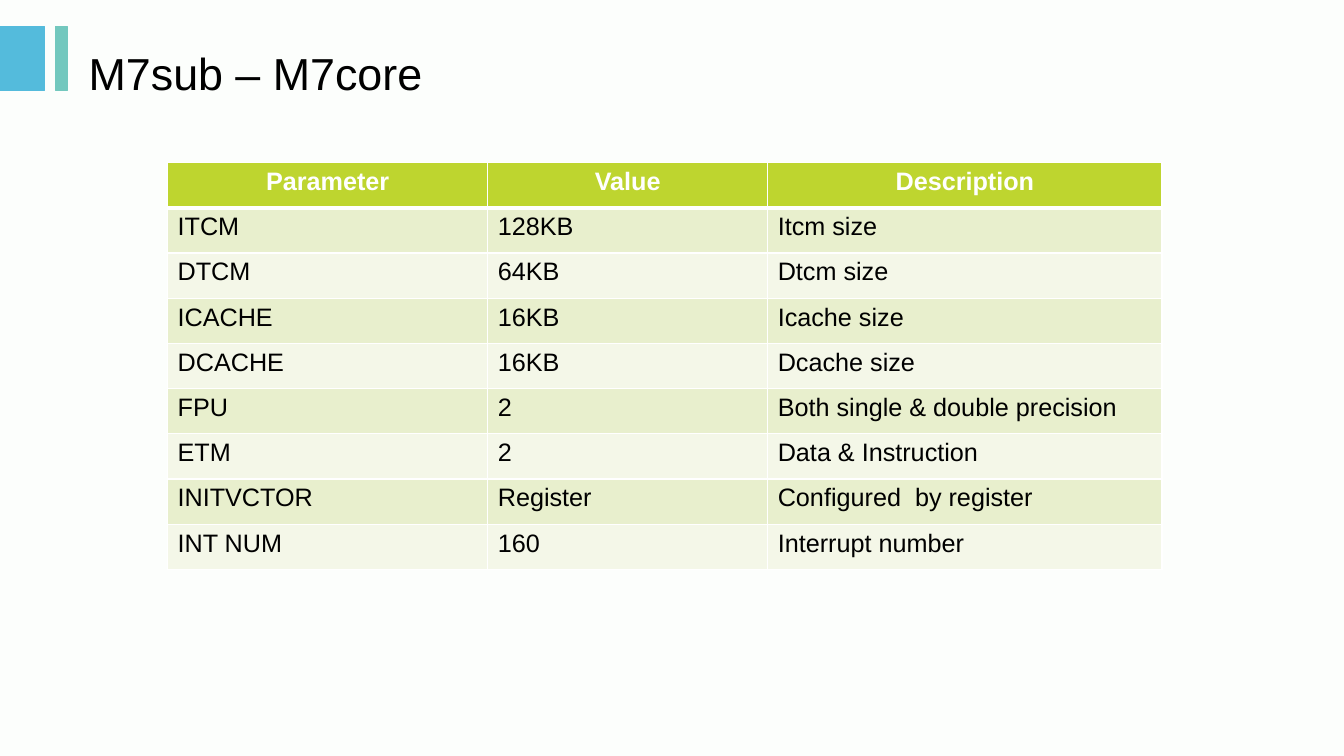
from lxml import etree
from pptx import Presentation
from pptx.dml.color import RGBColor
from pptx.enum.shapes import MSO_SHAPE
from pptx.enum.text import MSO_ANCHOR, PP_ALIGN
from pptx.oxml.ns import qn
from pptx.util import Pt

HEADER = ["Parameter", "Value", "Description"]
PARAMETERS = [
    ["ITCM", "128KB", "Itcm size"],
    ["DTCM", "64KB", "Dtcm size"],
    ["ICACHE", "16KB", "Icache size"],
    ["DCACHE", "16KB", "Dcache size"],
    ["FPU", "2", "Both single & double precision"],
    ["ETM", "2", "Data & Instruction"],
    ["INITVCTOR", "Register", "Configured  by register"],
    ["INT NUM", "160", "Interrupt number"],
]


def rgb(color):
    return RGBColor.from_string(color)


class SlideBuilder:
    font = "Arial"
    ink = "000000"
    white = "FFFFFF"
    header_fill = "BED52F"
    band_fills = ["E8EFCD", "F4F7E8"]

    def __init__(self, prs, background):
        self.s = prs.slides.add_slide(prs.slide_layouts[6])
        fill = self.s.background.fill
        fill.solid()
        fill.fore_color.rgb = rgb(background)

    def bar(self, x, y, w, h, color):
        sp = self.s.shapes.add_shape(
            MSO_SHAPE.RECTANGLE, Pt(x), Pt(y), Pt(w), Pt(h))
        sp.shadow.inherit = False
        sp.fill.solid()
        sp.fill.fore_color.rgb = rgb(color)
        sp.line.color.rgb = rgb(color)
        sp.line.width = Pt(0.75)

    def run(self, p, text, size, color, bold=False):
        r = p.add_run()
        r.text = text
        r.font.name = self.font
        r.font.size = Pt(size)
        r.font.bold = bold
        r.font.color.rgb = rgb(color)

    def title(self, x, y, w, h, text):
        tf = self.s.shapes.add_textbox(Pt(x), Pt(y), Pt(w), Pt(h)).text_frame
        tf.word_wrap = True
        tf.vertical_anchor = MSO_ANCHOR.MIDDLE
        self.run(tf.paragraphs[0], text, 32, self.ink)

    def borders(self, cell, top, bottom):
        tc_pr = cell._tc.get_or_add_tcPr()
        for side, width in (("L", 1), ("R", 1), ("T", top), ("B", bottom)):
            ln = etree.SubElement(tc_pr, qn(f"a:ln{side}"), w=str(Pt(width)))
            fill = etree.SubElement(ln, qn("a:solidFill"))
            etree.SubElement(fill, qn("a:srgbClr"), val=self.white)

    def table(self, x, y, widths, row_height, rows):
        table = self.s.shapes.add_table(
            len(rows), len(widths), Pt(x), Pt(y),
            Pt(sum(widths)), Pt(row_height * len(rows))).table
        for column, width in zip(table.columns, widths):
            column.width = Pt(width)
        for i, values in enumerate(rows):
            table.rows[i].height = Pt(row_height)
            is_header = i == 0
            fill = self.header_fill if is_header else self.band_fills[(i - 1) % 2]
            for j, text in enumerate(values):
                cell = table.cell(i, j)
                # Borders come before the fill in the cell properties
                self.borders(cell, 3 if i == 1 else 1, 3 if is_header else 1)
                cell.fill.solid()
                cell.fill.fore_color.rgb = rgb(fill)
                p = cell.text_frame.paragraphs[0]
                p.alignment = PP_ALIGN.CENTER if is_header else PP_ALIGN.LEFT
                self.run(p, text, 18, self.white if is_header else self.ink,
                         is_header)


def main():
    prs = Presentation()
    prs.slide_width, prs.slide_height = Pt(960), Pt(540)
    slide = SlideBuilder(prs, "FCFEFC")

    # Accent bars and title
    slide.bar(0, 18.72, 31.7, 46.1, "54BBDC")
    slide.bar(40, 18.72, 8, 46.1, "73C8BE")
    slide.title(56.2, 18.72, 855.4, 66.2, "M7sub – M7core")

    # Core parameters
    slide.table(119.7, 116.1, [228.7, 200, 281.7], 32.3, [HEADER] + PARAMETERS)

    prs.save("out.pptx")


if __name__ == "__main__":
    main()
